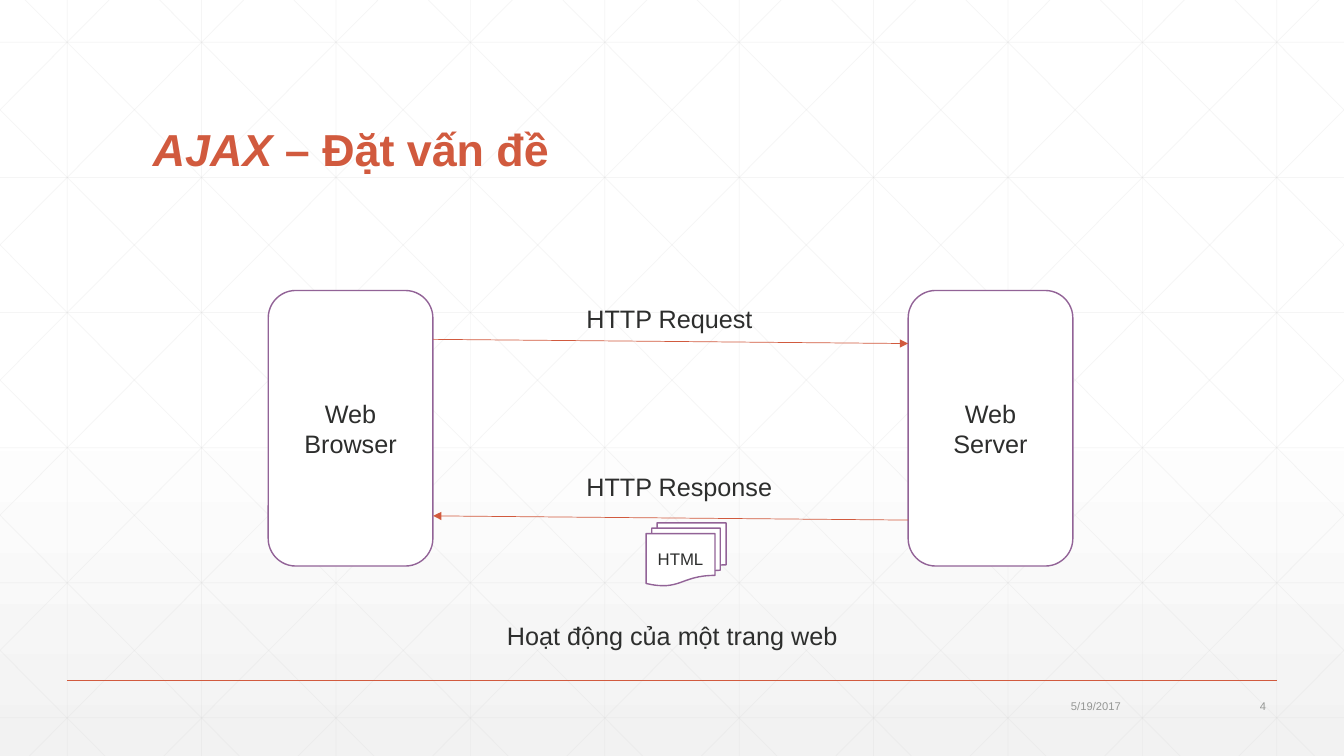
"""Build the slide that explains how a web page request works."""
from copy import deepcopy

from pptx import Presentation
from pptx.dml.color import RGBColor
from pptx.enum.shapes import MSO_CONNECTOR as Connector, MSO_SHAPE as Shape
from pptx.enum.text import MSO_ANCHOR as Anchor, MSO_AUTO_SIZE as AutoSize, PP_ALIGN as Align
from pptx.oxml.ns import qn
from pptx.util import Pt
from lxml.etree import SubElement

WIDTH, HEIGHT = 960, 540
GRID_STEP = 96
DIAGONAL_RUN = 537
FONT = "Arial"
ACCENT = RGBColor(0xD1, 0x5A, 0x3E)
PURPLE = RGBColor(0x92, 0x63, 0x97)
DARK = RGBColor(0x2D, 0x2E, 0x2D)
GRAY = RGBColor(0x95, 0x97, 0x95)
GRID = RGBColor(0xD9, 0xD9, 0xD9)
WHITE = RGBColor(0xFF, 0xFF, 0xFF)
PALE = RGBColor(0xF2, 0xF2, 0xF2)


def set_background(slide):
    """Fill the background with white that fades to pale gray at the bottom."""
    fill = slide.background.fill
    fill.gradient()
    fill.gradient_angle = 270
    first, last = fill.gradient_stops
    first.color.rgb, last.color.rgb = WHITE, PALE
    first.position, last.position = 0, 1
    stop_list = slide.background.element.find(".//" + qn("a:gsLst"))
    middle = deepcopy(stop_list[0])
    middle.set("pos", "53000")
    stop_list.insert(1, middle)


def add_line(slide, start, end, color, weight, opacity=None, arrow=False):
    """Draw a straight line, optionally translucent or with an arrowhead."""
    connector = slide.shapes.add_connector(
        Connector.STRAIGHT, *(Pt(value) for value in (*start, *end)))
    connector.line.color.rgb = color
    connector.line.width = Pt(weight)
    properties = connector.element.spPr
    if opacity is not None:
        color_element = properties.find(".//" + qn("a:srgbClr"))
        SubElement(color_element, qn("a:alpha"), val=str(opacity * 1000))
    if arrow:
        SubElement(properties.find(qn("a:ln")), qn("a:tailEnd"), type="triangle")
    SubElement(properties, qn("a:effectLst"))


def add_lattice(slide):
    """Cover the slide with faint straight and diagonal lines."""
    lines = [((x, 0), (x, HEIGHT)) for x in range(48, WIDTH, GRID_STEP)]
    lines += [((0, 30.25 + 96.5 * row), (WIDTH, 30.25 + 96.5 * row)) for row in range(6)]
    slope = HEIGHT / DIAGONAL_RUN
    for column in range(-5, 10):
        origin = 18 + GRID_STEP * column
        left, right = max(origin, 0), min(origin + DIAGONAL_RUN, WIDTH)
        top, bottom = (left - origin) * slope, (right - origin) * slope
        lines.append(((left, top), (right, bottom)))
        lines.append(((WIDTH - left, top), (WIDTH - right, bottom)))
    for start, end in lines:
        add_line(slide, start, end, GRID, 0.5, opacity=25)


def format_runs(paragraph, size, color, align):
    """Set the alignment of a paragraph and the font of its runs."""
    paragraph.alignment = align
    for run in paragraph.runs:
        run.font.name = FONT
        run.font.size = Pt(size)
        run.font.color.rgb = color


def add_title(slide, emphasis, rest):
    """Place the title placeholder in front, with its first part in italics."""
    title = slide.shapes.title
    title.element.getparent().append(title.element)
    title.left, title.top, title.width, title.height = Pt(102), Pt(39.6), Pt(756), Pt(90)
    frame = title.text_frame
    frame.auto_size = AutoSize.NONE
    frame.vertical_anchor = Anchor.BOTTOM
    paragraph = frame.paragraphs[0]
    paragraph.line_spacing = 0.9
    for text, italic in ((emphasis, True), (rest, False)):
        run = paragraph.add_run()
        run.text = text
        run.font.bold = True
        run.font.italic = italic
    format_runs(paragraph, 32, ACCENT, Align.LEFT)


def add_label(slide, text, left, top, width, height=28.8, size=18, color=DARK,
              align=Align.LEFT, anchor=Anchor.TOP, wrap=False):
    """Add a line of text without a frame."""
    label = slide.shapes.add_textbox(Pt(left), Pt(top), Pt(width), Pt(height))
    frame = label.text_frame
    frame.word_wrap = wrap
    frame.vertical_anchor = anchor
    frame.text = text
    format_runs(frame.paragraphs[0], size, color, align)


def add_node(slide, kind, text, left, top, width, height, size=18):
    """Add a white shape with a purple outline and centred text."""
    node = slide.shapes.add_shape(kind, Pt(left), Pt(top), Pt(width), Pt(height))
    node.shadow.inherit = False
    node.fill.solid()
    node.fill.fore_color.rgb = WHITE
    node.line.color.rgb = PURPLE
    node.line.width = Pt(1)
    frame = node.text_frame
    frame.word_wrap = True
    frame.vertical_anchor = Anchor.MIDDLE
    frame.text = text
    format_runs(frame.paragraphs[0], size, DARK, Align.CENTER)


def main():
    """Build the slide and save it."""
    presentation = Presentation()
    presentation.slide_width, presentation.slide_height = Pt(WIDTH), Pt(HEIGHT)
    slide = presentation.slides.add_slide(presentation.slide_layouts[5])
    set_background(slide)
    add_lattice(slide)
    add_line(slide, (48, 486), (912, 486), ACCENT, 1)
    add_title(slide, "AJAX ", "– Đặt vấn đề")
    add_label(slide, "Hoạt động của một trang web", 355, 439.5, 252.7)

    for text, left in (("Web Browser", 191.6), ("Web Server", 648.7)):
        add_node(slide, Shape.ROUNDED_RECTANGLE, text, left, 207.5, 117.6, 196.8)
    browser_edge, server_edge = 309.4, 648.7
    add_line(slide, (browser_edge, 242.4), (server_edge, 245.4), ACCENT, 0.5, arrow=True)
    add_line(slide, (server_edge, 371.5), (browser_edge, 368.5), ACCENT, 0.5, arrow=True)
    add_label(slide, "HTTP Request", 411.8, 213.3, 134.6)
    add_label(slide, "HTTP Response", 411.8, 333, 148.3)
    add_node(slide, Shape.FLOWCHART_MULTIDOCUMENT, "HTML", 461.5, 373.5, 57.2, 45, size=12)

    for text, left, width in (("5/19/2017", 731.5, 76.3), ("4", 839.5, 72)):
        add_label(slide, text, left, 495.4, width, 17.3, size=8, color=GRAY,
                  align=Align.RIGHT, anchor=Anchor.MIDDLE, wrap=True)
    presentation.save("out.pptx")


main()
